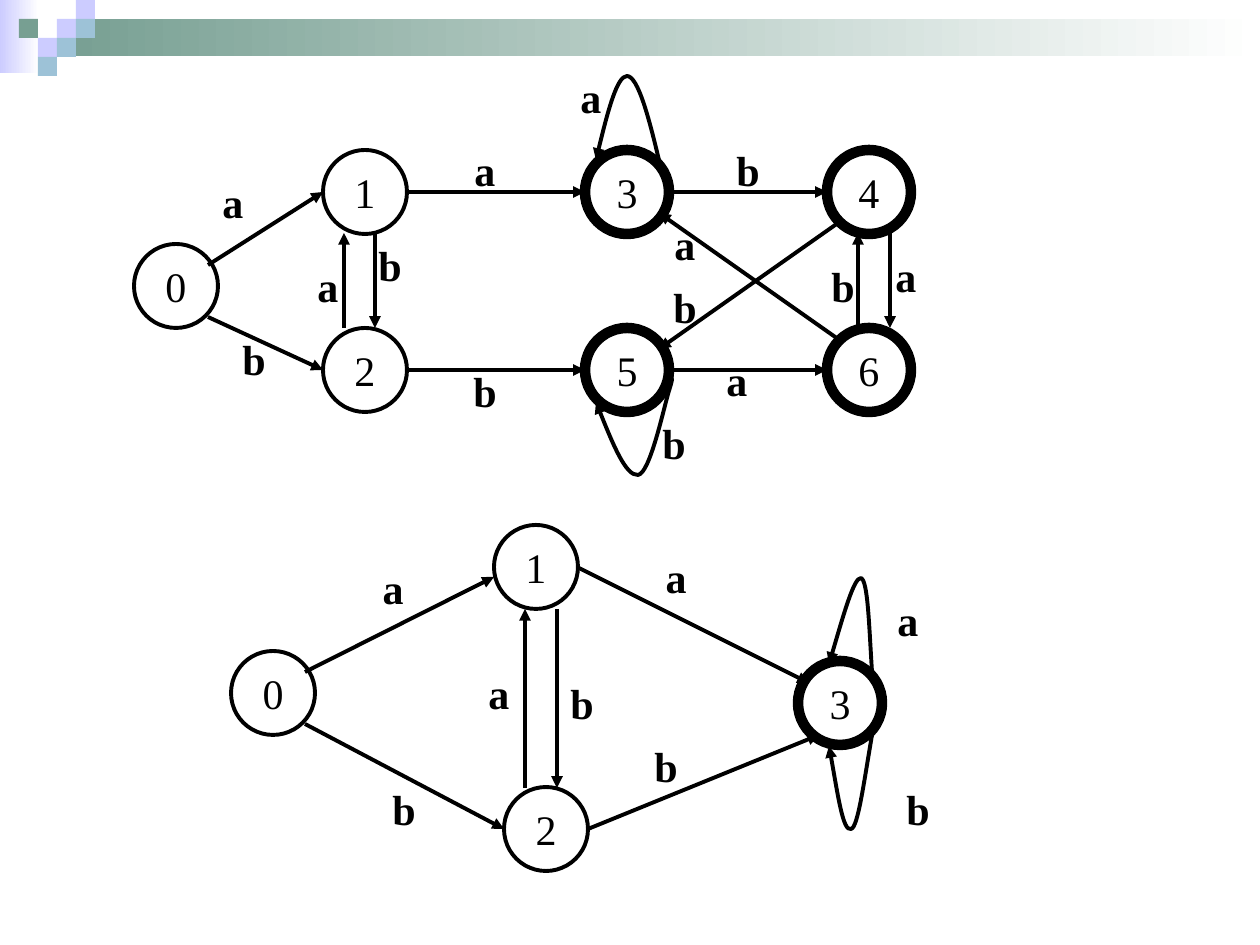
from lxml import etree
from pptx import Presentation
from pptx import util as u
from pptx.dml.color import RGBColor
from pptx.enum import shapes, text
from pptx.oxml import ns

SCALE = u.Inches(1) / 126
BLACK = "000000"
WHITE = "FFFFFF"
LAVENDER = "CCCCFF"
BLUE = "9DC2D7"
GREEN = "779F92"
THIN, THICK = 2.25, 6
CELL = 19
RADIUS = 42
LABEL_WIDTH, LABEL_HEIGHT = 73, 63

GRADIENTS = [(0, 0, 39, 73, LAVENDER), (57, 19, 1203, 37, GREEN)]
SQUARES = [
    (3, 1, LAVENDER), (4, 0, LAVENDER), (4, 1, BLUE), (2, 2, LAVENDER),
    (1, 1, GREEN), (3, 2, BLUE), (2, 3, BLUE),
]

FULL_AUTOMATON = {
    "states": [
        ("0", 176, 286, THIN), ("1", 365, 192, THIN), ("2", 365, 370, THIN),
        ("3", 627, 192, THICK), ("5", 627, 370, THICK),
        ("4", 869, 192, THICK), ("6", 869, 370, THICK),
    ],
    "edges": [
        (208, 265, 323, 192), (407, 192, 585, 192), (669, 192, 827, 192),
        (208, 317, 323, 370), (407, 370, 585, 370), (669, 370, 827, 370),
        (375, 233, 375, 328), (344, 328, 344, 233),
        (858, 328, 858, 233), (890, 233, 890, 328),
        (838, 223, 659, 349), (838, 339, 659, 213),
    ],
    "labels": [
        ("a", 233, 202), ("a", 485, 170), ("b", 748, 170), ("b", 254, 359),
        ("b", 485, 391), ("a", 737, 380), ("b", 390, 265), ("a", 328, 286),
        ("a", 906, 276), ("b", 843, 286), ("a", 685, 244), ("b", 685, 307),
        ("a", 591, 97), ("b", 674, 443),
    ],
    "loops": [
        [(659, 160), (649, 118), (638, 76), (627, 76),
         (617, 76), (606, 118), (596, 160)],
        [(669, 381), (672, 378), (674, 375), (669, 391), (664, 407),
         (650, 474), (638, 475), (626, 476), (611, 440), (596, 402)],
    ],
}

MINIMAL_AUTOMATON = {
    "states": [
        ("0", 273, 693, THIN), ("1", 536, 567, THIN),
        ("2", 546, 829, THIN), ("3", 840, 703, THICK),
    ],
    "edges": [
        (305, 672, 494, 577), (577, 567, 809, 683), (305, 724, 504, 829),
        (557, 609, 557, 788), (525, 788, 525, 609), (588, 829, 819, 735),
    ],
    "labels": [
        ("a", 393, 588), ("a", 908, 620), ("b", 404, 809), ("b", 918, 809),
        ("b", 582, 703), ("a", 499, 693), ("a", 676, 577), ("b", 666, 766),
    ],
    "loops": [
        [(872, 672), (869, 626), (868, 581), (861, 578),
         (854, 577), (842, 620), (829, 664)],
        [(872, 735), (864, 781), (858, 828), (851, 829),
         (843, 832), (837, 789), (829, 746)],
    ],
}


def px(*lengths):
    return [u.Emu(round(length * SCALE)) for length in lengths]


def color(value):
    return RGBColor.from_string(value)


def set_line(shape, width, arrow=False):
    shape.line.color.rgb = color(BLACK)
    shape.line.width = u.Pt(width)
    if arrow:
        outline = shape.line._get_or_add_ln()
        etree.SubElement(outline, ns.qn("a:tailEnd"), type="triangle")


def write(shape, words, bold=False):
    frame = shape.text_frame
    frame.text = words
    frame.word_wrap = False
    frame.vertical_anchor = text.MSO_ANCHOR.MIDDLE
    para = frame.paragraphs[0]
    para.alignment = text.PP_ALIGN.CENTER
    font = para.runs[0].font
    font.name = "Times New Roman"
    font.size = u.Pt(24)
    font.bold = bold
    font.color.rgb = color(BLACK)


def add_block(page, left, top, width, height, fill, fade=False):
    block = page.shapes.add_shape(
        shapes.MSO_SHAPE.RECTANGLE, *px(left, top, width, height))
    block.shadow.inherit = False
    block.line.fill.background()
    if fade:
        block.fill.gradient()
        block.fill.gradient_angle = 0
        for stop, value in zip(block.fill.gradient_stops, (fill, WHITE)):
            stop.color.rgb = color(value)
    else:
        block.fill.solid()
        block.fill.fore_color.rgb = color(fill)


def add_state(page, name, x, y, width):
    state = page.shapes.add_shape(
        shapes.MSO_SHAPE.OVAL,
        *px(x - RADIUS, y - RADIUS, 2 * RADIUS, 2 * RADIUS))
    state.shadow.inherit = False
    state.fill.background()
    set_line(state, width)
    write(state, name)


def add_edge(page, *ends):
    edge = page.shapes.add_connector(shapes.MSO_CONNECTOR.STRAIGHT, *px(*ends))
    set_line(edge, THIN, arrow=True)
    etree.SubElement(edge._element.spPr, ns.qn("a:effectLst"))


def add_label(page, letter, x, y):
    box = page.shapes.add_textbox(
        *px(x - LABEL_WIDTH / 2, y - LABEL_HEIGHT / 2, LABEL_WIDTH, LABEL_HEIGHT))
    write(box, letter, bold=True)


def add_loop(page, points):
    start, *controls = [px(*point) for point in points]
    builder = page.shapes.build_freeform(*start)
    builder.add_line_segments(controls, close=False)
    loop = builder.convert_to_shape()
    loop.shadow.inherit = False
    loop.fill.background()
    set_line(loop, THIN, arrow=True)
    segments = list(loop._element.iter(ns.qn("a:lnTo")))
    for first in range(0, len(segments), 3):
        curve = segments[first]
        for segment in segments[first + 1:first + 3]:
            curve.append(segment[0])
            segment.getparent().remove(segment)
        bezier = etree.Element(ns.qn("a:cubicBezTo"))
        bezier.extend(list(curve))
        curve.getparent().replace(curve, bezier)


def add_automaton(page, automaton):
    for state in automaton["states"]:
        add_state(page, *state)
    for edge in automaton["edges"]:
        add_edge(page, *edge)
    for label in automaton["labels"]:
        add_label(page, *label)
    for loop in automaton["loops"]:
        add_loop(page, loop)


def main():
    deck = Presentation()
    deck.slide_width, deck.slide_height = px(1260, 945)
    page = deck.slides.add_slide(deck.slide_layouts[6])
    for gradient in GRADIENTS:
        add_block(page, *gradient, fade=True)
    for column, row, fill in SQUARES:
        add_block(page, column * CELL, row * CELL, CELL, CELL, fill)
    add_automaton(page, FULL_AUTOMATON)
    add_automaton(page, MINIMAL_AUTOMATON)
    deck.save("out.pptx")


if __name__ == "__main__":
    main()
